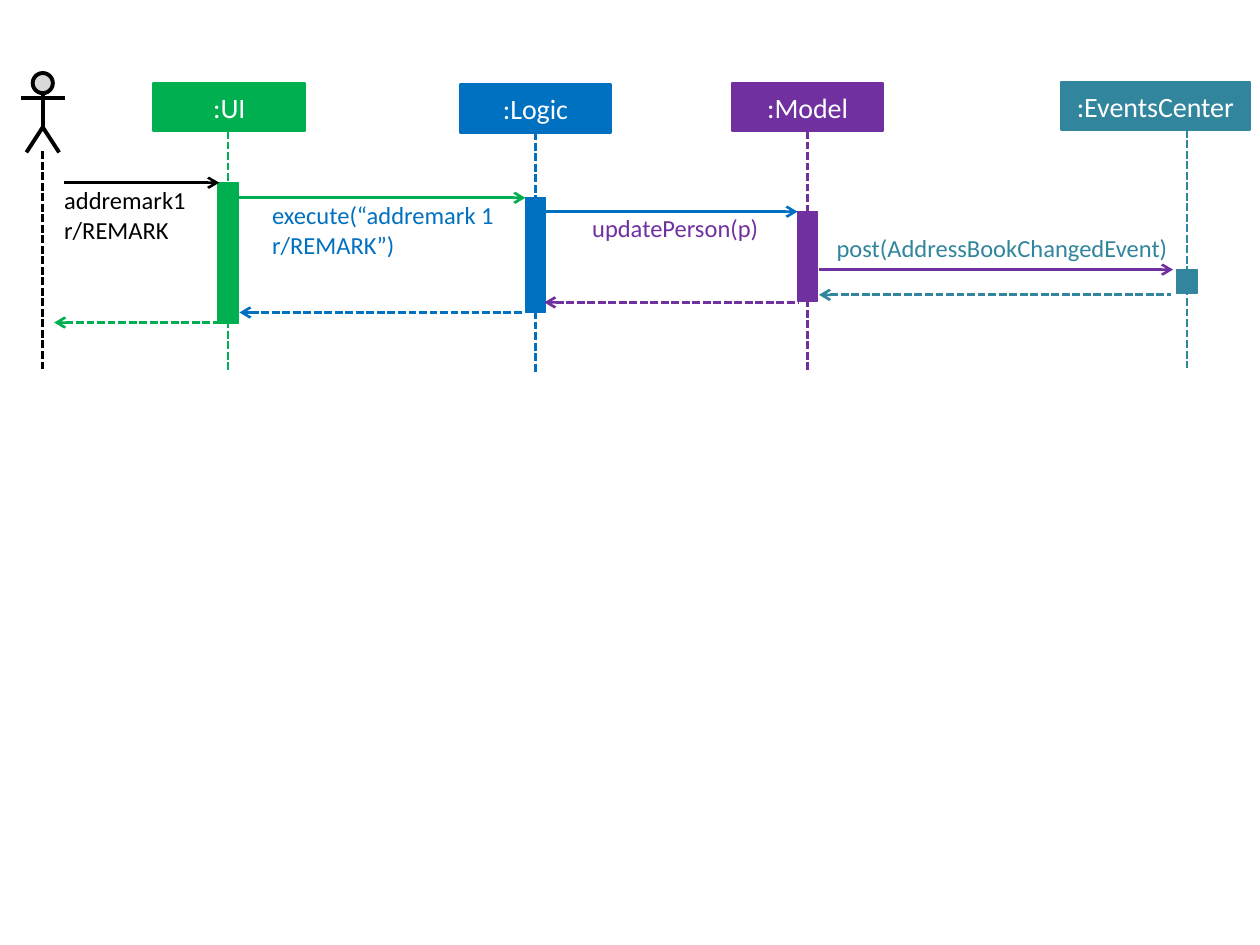
from lxml.etree import SubElement
from pptx import Presentation
from pptx.dml.color import RGBColor
from pptx.enum.dml import MSO_LINE
from pptx.enum.shapes import MSO_CONNECTOR, MSO_SHAPE
from pptx.enum.text import MSO_ANCHOR, MSO_AUTO_SIZE, PP_ALIGN
from pptx.oxml.ns import qn
from pptx.util import Inches, Pt

BLACK, WHITE, GREY = "000000", "FFFFFF", "D9D9D9"
GREEN, BLUE, PURPLE, TEAL = "00B050", "0070C0", "7030A0", "31859C"
FONT = "Calibri"
HEADER_HEIGHT = 0.38
BAR_WIDTH = 0.16
ACTOR_X = 0.34

# name, colour, header (left, top, width), lifeline (x, bottom), bar (top, height)
PARTICIPANTS = [
    (":UI", GREEN, (1.22, 0.66, 1.2), (1.81, 2.95), (1.45, 1.12)),
    (":Logic", BLUE, (3.65, 0.67, 1.2), (4.25, 2.95), (1.57, 0.91)),
    (":Model", PURPLE, (5.81, 0.66, 1.2), (6.41, 2.95), (1.68, 0.71)),
    (":EventsCenter", TEAL, (8.42, 0.65, 1.5), (9.42, 2.92), (2.14, 0.19)),
]
# left, right, y, colour
CALLS = [
    (0.51, 1.74, 1.45, BLACK),
    (1.9, 4.17, 1.57, GREEN),
    (4.32, 6.33, 1.68, BLUE),
    (6.5, 9.31, 2.14, PURPLE),
]
RETURNS = [
    (6.5, 9.29, 2.34, TEAL),
    (4.32, 6.33, 2.4, PURPLE),
    (1.9, 4.15, 2.48, BLUE),
    (0.43, 1.74, 2.56, GREEN),
]
# text, colour, (left, top, width, height)
LABELS = [
    ("addremark1 r/REMARK", BLACK, (0.51, 1.47, 1.04, 0.47)),
    ("execute(“addremark 1 r/REMARK”)", BLUE, (2.16, 1.59, 1.77, 0.47)),
    ("updatePerson(p)", PURPLE, (4.7, 1.69, 1.56, 0.24)),
    ("post(AddressBookChangedEvent)", TEAL, (6.64, 1.85, 2.67, 0.24)),
]


def rgb(color):
    return RGBColor.from_string(color)


def set_outline(part, color, width):
    part.line.color.rgb = rgb(color)
    part.line.width = Pt(width)


def add_box(shapes, kind, place, fill, outline, width):
    box = shapes.add_shape(kind, *map(Inches, place))
    box.shadow.inherit = False
    box.fill.solid()
    box.fill.fore_color.rgb = rgb(fill)
    set_outline(box, outline, width)
    return box


def add_line(shapes, start, end, color, width=1.5, dashed=False, arrow=None):
    line = shapes.add_connector(MSO_CONNECTOR.STRAIGHT, *map(Inches, start + end))
    set_outline(line, color, width)
    if dashed:
        line.line.dash_style = MSO_LINE.SQUARE_DOT
    if arrow:
        SubElement(line.line._get_or_add_ln(), qn(arrow), type="arrow")
    SubElement(line._element.spPr, qn("a:effectLst"))


def write(frame, text, size, color):
    run = frame.paragraphs[0].add_run()
    run.text = text
    run.font.name = FONT
    run.font.size = Pt(size)
    run.font.color.rgb = rgb(color)


def add_participant(shapes, name, color, header, lifeline, bar):
    left, top, width = header
    x, bottom = lifeline
    bar_top, bar_height = bar
    title = add_box(shapes, MSO_SHAPE.RECTANGLE,
                    (left, top, width, HEADER_HEIGHT), color, color, 1.5)
    title.text_frame.vertical_anchor = MSO_ANCHOR.MIDDLE
    title.text_frame.paragraphs[0].alignment = PP_ALIGN.CENTER
    write(title.text_frame, name, 16, WHITE)
    add_line(shapes, (x, top + HEADER_HEIGHT), (x, bottom), color, dashed=True)
    add_box(shapes, MSO_SHAPE.RECTANGLE,
            (x - BAR_WIDTH / 2, bar_top, BAR_WIDTH, bar_height), color, color, 0.75)


def add_actor(shapes):
    figure = shapes.add_group_shape().shapes
    add_box(figure, MSO_SHAPE.FLOWCHART_CONNECTOR,
            (ACTOR_X - 0.08, 0.58, 0.16, 0.16), GREY, BLACK, 2.25)
    add_line(figure, (ACTOR_X, 0.74), (ACTOR_X, 1.02), BLACK, 2.25)
    add_line(figure, (0.17, 0.78), (0.52, 0.78), BLACK, 2.25)
    pen = figure.build_freeform(Inches(ACTOR_X - 0.13), Inches(1.21))
    pen.add_line_segments(
        [(Inches(ACTOR_X), Inches(1.01)), (Inches(ACTOR_X + 0.13), Inches(1.21))],
        close=False)
    legs = pen.convert_to_shape()
    legs.shadow.inherit = False
    legs.fill.background()
    set_outline(legs, BLACK, 2.25)
    add_line(shapes, (ACTOR_X, 1.2), (ACTOR_X, 2.95), BLACK, dashed=True)


def add_label(shapes, text, color, place):
    frame = shapes.add_textbox(*map(Inches, place)).text_frame
    frame.word_wrap = True
    frame.auto_size = MSO_AUTO_SIZE.SHAPE_TO_FIT_TEXT
    frame.margin_left = frame.margin_right = 0
    frame.margin_top = frame.margin_bottom = 0
    write(frame, text, 14, color)


def main():
    deck = Presentation()
    deck.slide_width, deck.slide_height = Inches(10), Inches(7.5)
    shapes = deck.slides.add_slide(deck.slide_layouts[6]).shapes
    add_actor(shapes)
    for participant in PARTICIPANTS:
        add_participant(shapes, *participant)
    for left, right, y, color in CALLS:
        add_line(shapes, (left, y), (right, y), color, arrow="a:tailEnd")
    for left, right, y, color in RETURNS:
        add_line(shapes, (left, y), (right, y), color, dashed=True, arrow="a:headEnd")
    for label in LABELS:
        add_label(shapes, *label)
    deck.save("out.pptx")


if __name__ == "__main__":
    main()
